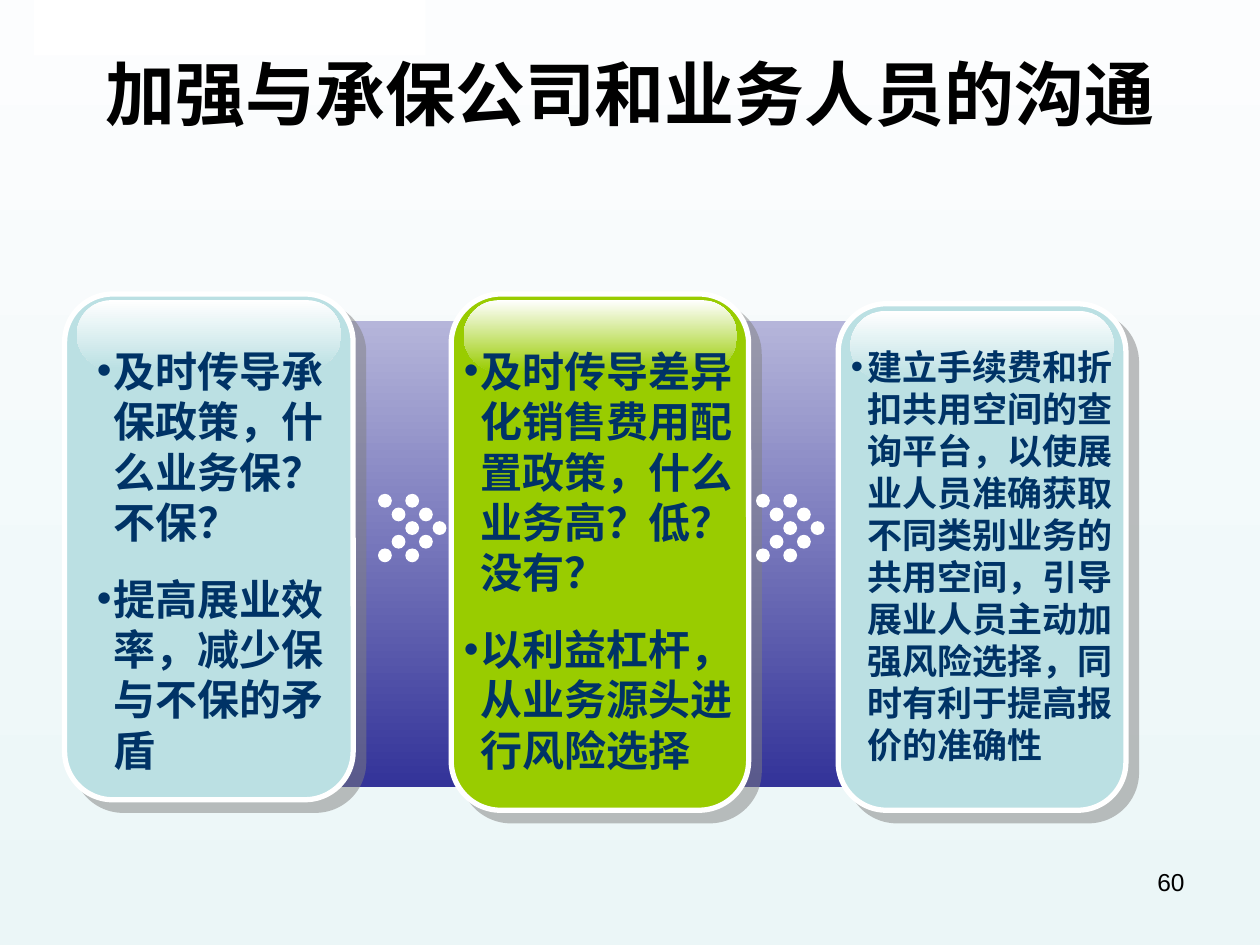
from lxml.etree import SubElement
from pptx import Presentation
from pptx.dml.color import RGBColor
from pptx.enum.shapes import MSO_SHAPE as Preset
from pptx.enum.text import MSO_ANCHOR as Anchor, MSO_AUTO_SIZE as AutoSize, PP_ALIGN as Align
from pptx.oxml.ns import qn
from pptx.util import Pt

CJK = "Noto Sans CJK SC"
WHITE, BLACK, NAVY = "FFFFFF", "000000", "003366"
AQUA, LIME = "BBE0E3", "99CC00"
INSETS = {"margin_left": Pt(7.2), "margin_right": Pt(7.2),
          "margin_top": Pt(3.6), "margin_bottom": Pt(3.6)}

CARDS = [
    {"card": (36.9, 168, 164.9, 289), "gloss": (43.9, 171.5, 151.2, 39.6),
     "list": (48.2, 190.8, 152.6, 252.7), "color": AQUA, "size": 24,
     "items": ["及时传导承保政策，什么业务保？不保？", "提高展业效率，减少保与不保的矛盾"]},
    {"card": (257.8, 168, 170, 295), "gloss": (265, 171.5, 156.2, 41),
     "list": (257.8, 190.8, 181.4, 252.7), "color": LIME, "size": 24,
     "items": ["及时传导差异化销售费用配置政策，什么业务高？低？没有？",
               "以利益杠杆，从业务源头进行风险选择"]},
    {"card": (479, 173.6, 164.4, 289.4), "gloss": (486, 177.7, 150.5, 39.6),
     "list": (479, 190.8, 175.7, 247.7), "color": AQUA, "size": 20,
     "items": ["建立手续费和折扣共用空间的查询平台，以使展业人员准确获取不同类别业务的"
               "共用空间，引导展业人员主动加强风险选择，同时有利于提高报价的准确性"]},
]


def color(value):
    return RGBColor.from_string(value)


def apply(target, values):
    for name, value in values.items():
        setattr(target, name, value)


def place(shape, box):
    apply(shape, dict(zip(("left", "top", "width", "height"), map(Pt, box))))


def fill_gradient(fill, start, end):
    fill.gradient()
    fill.gradient_angle = 270
    for stop, value in zip(fill.gradient_stops, (start, end)):
        stop.color.rgb = color(value)


def add_shape(shapes, preset, box, fill, corner=None):
    shape = shapes.add_shape(preset, *map(Pt, box))
    shape.shadow.inherit = False
    shape.line.fill.background()
    if corner is not None:
        shape.adjustments[0] = corner
    if isinstance(fill, tuple):
        fill_gradient(shape.fill, *fill)
    else:
        shape.fill.solid()
        shape.fill.fore_color.rgb = color(fill)
    return shape


def bring_to_front(shape):
    shape.element.getparent().append(shape.element)


def write(para, text, font_name, size, tint, bold):
    span = para.add_run()
    span.text = text
    apply(span.font, {"name": font_name, "size": Pt(size), "bold": bold})
    span.font.color.rgb = color(tint)
    SubElement(span.font._element, qn("a:ea"), typeface=font_name)


def add_bullet(para):
    props = para._p.get_or_add_pPr()
    apply_indent = {"marL": Pt(9.4), "indent": -Pt(9.4)}
    for name, value in apply_indent.items():
        props.set(name, str(int(value)))
    tint = SubElement(props, qn("a:buClr"))
    SubElement(tint, qn("a:srgbClr"), val=NAVY)
    SubElement(props, qn("a:buFont"), typeface="Arial")
    SubElement(props, qn("a:buChar"), char="•")


def add_drop_shadow(shape):
    effects = shape._element.spPr.find(qn("a:effectLst"))
    shadow = SubElement(effects, qn("a:outerShdw"), dist=str(int(Pt(8.5))),
                        dir="2700000", algn="ctr", rotWithShape="0")
    tint = SubElement(shadow, qn("a:srgbClr"), val="808080")
    SubElement(tint, qn("a:alpha"), val="50000")


def build_title(title, box):
    place(title, box)
    bring_to_front(title)
    frame = title.text_frame
    apply(frame, {**INSETS, "word_wrap": True, "auto_size": AutoSize.NONE,
                  "vertical_anchor": Anchor.MIDDLE})
    para = frame.paragraphs[0]
    para.alignment = Align.CENTER
    write(para, "加强与承保公司和业务人员的沟通", "Arial", 40, BLACK, True)


def build_card(page, card):
    group = page.shapes.add_group_shape()
    panel = add_shape(group.shapes, Preset.ROUNDED_RECTANGLE, card["card"], card["color"], 0.167)
    panel.line.color.rgb = color(WHITE)
    panel.line.width = Pt(3)
    add_drop_shadow(panel)
    add_shape(group.shapes, Preset.ROUNDED_RECTANGLE, card["gloss"], (WHITE, card["color"]), 0.5)


def build_list(body, card):
    size = card["size"]
    place(body, card["list"])
    bring_to_front(body)
    frame = body.text_frame
    apply(frame, {**INSETS, "margin_top": Pt(6.5), "word_wrap": True,
                  "auto_size": AutoSize.NONE, "vertical_anchor": Anchor.TOP})
    for index, item in enumerate(card["items"]):
        para = frame.add_paragraph() if index else frame.paragraphs[0]
        add_bullet(para)
        apply(para, {"alignment": Align.LEFT, "line_spacing": Pt(size * 1.2),
                     "space_before": Pt(15 if index else 0), "space_after": Pt(0)})
        write(para, item, CJK, size, NAVY, True)


def build_chevrons(page, left, top):
    step, dot = 7.8, 7.9
    group = page.shapes.add_group_shape()
    for start in (2, 0):
        for row in range(5):
            column = start + 2 - abs(row - 2)
            box = (left + column * step, top + row * step, dot, dot)
            add_shape(group.shapes, Preset.OVAL, box, WHITE)


def build_page_number(page, box):
    frame = page.shapes.add_textbox(*map(Pt, box)).text_frame
    apply(frame, {**INSETS, "word_wrap": True})
    para = frame.paragraphs[0]
    para.alignment = Align.RIGHT
    write(para, "60", "Arial", 14, BLACK, False)


def main():
    deck = Presentation()
    apply(deck, {"slide_width": Pt(720), "slide_height": Pt(540)})
    page = deck.slides.add_slide(deck.slide_layouts.get_by_name("Comparison"))
    fill_gradient(page.background.fill, "FCFDFE", "EBF6F7")
    title, *bodies = page.placeholders

    add_shape(page.shapes, Preset.RECTANGLE, (19.4, 0, 223.9, 31.7), WHITE)
    build_title(title, (36, 21.6, 648, 62.6))
    add_shape(page.shapes, Preset.ROUNDED_RECTANGLE, (66.2, 183.6, 531.4, 266.4),
              ("B5B5DA", "333399"), 0.167)
    for card in CARDS:
        build_card(page, card)
    for body, card in zip(bodies, CARDS):
        build_list(body, card)
    for spare in bodies[len(CARDS):]:
        spare.element.getparent().remove(spare.element)
    for left in (216, 432):
        build_chevrons(page, left, 282.2)
    build_page_number(page, (516.2, 491.8, 167.8, 37.4))
    deck.save("out.pptx")


if __name__ == "__main__":
    main()
